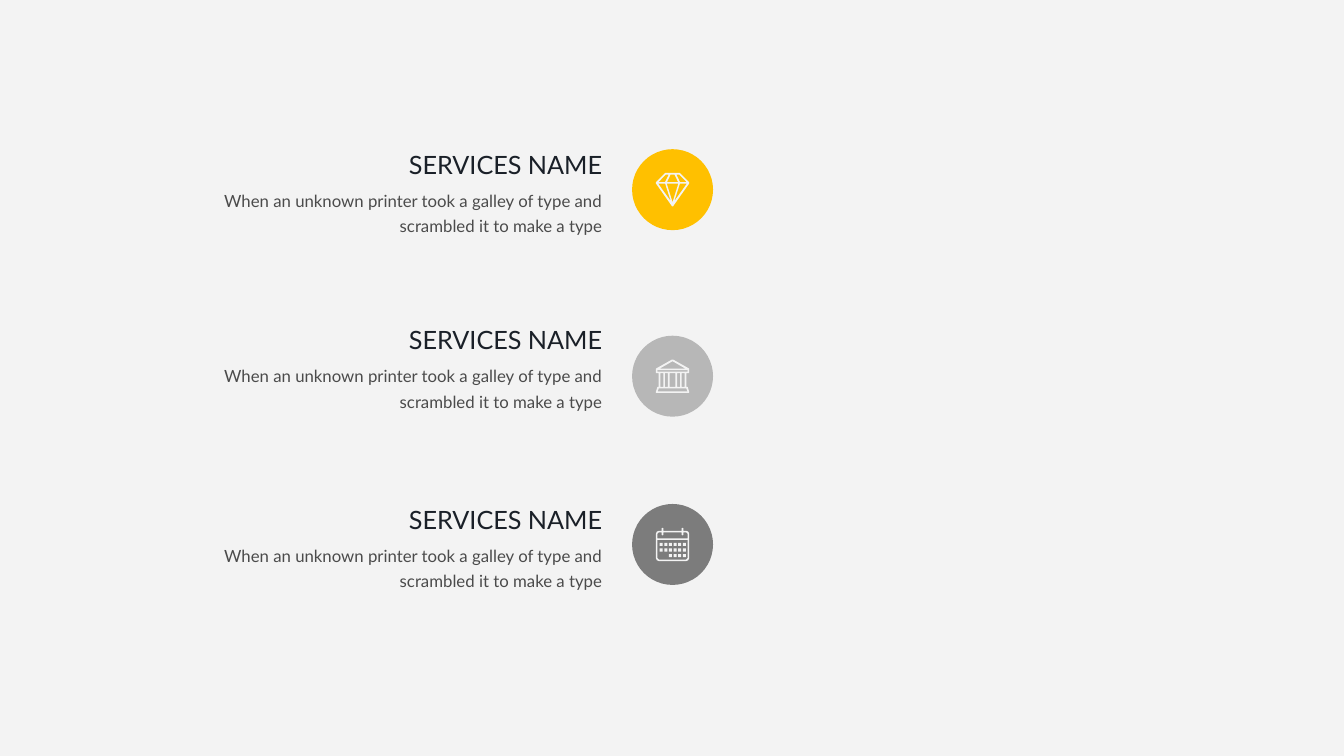
from pptx import Presentation
from pptx.dml.color import RGBColor
from pptx.enum.shapes import MSO_SHAPE
from pptx.enum.text import MSO_AUTO_SIZE, PP_ALIGN
from pptx.util import Cm, Pt

# Content: tops are in centimetres
BLURB = "When an unknown printer took a galley of type and scrambled it to make a type"
SERVICES = [
    {"name": "SERVICES NAME", "blurb": BLURB, "icon": "diamond",
     "badge": "FFC000", "text_top": 3.76, "badge_top": 3.76},
    {"name": "SERVICES NAME", "blurb": BLURB, "icon": "bank",
     "badge": "B7B7B7", "text_top": 8.18, "badge_top": 8.46},
    {"name": "SERVICES NAME", "blurb": BLURB, "icon": "calendar",
     "badge": "7C7C7C", "text_top": 12.7, "badge_top": 12.7},
]

THEME = {
    "font": "Lato", "paper": "F3F3F3",
    "name": {"size": 18, "color": "1A2028", "spacing": 1.0},
    "blurb": {"size": 12, "color": "4B4B4B", "spacing": 1.25},
}

# Layout in centimetres
TEXT_RIGHT = 15.18
NAME_WIDTH, NAME_HEIGHT = 4.98, 0.76
BLURB_WIDTH, BLURB_HEIGHT, BLURB_DROP = 10.66, 1.4, 0.92
BADGE_LEFT, BADGE_SIZE = 15.93, 2.04
ICON_SIZE = 0.84
ICON_UNITS = 330  # each icon is outlined on a 330 by 330 grid


# Icon outlines: the first contour is the silhouette, later ones cut or refill it
def mirror(points):
    return [(ICON_UNITS - x, y) for x, y in points]


def symmetric(left_half):
    return left_half + mirror(left_half)[::-1]


def box(left, top, right, bottom):
    return [(left, top), (right, top), (right, bottom), (left, bottom)]


def diamond():
    lower_facet = [(23, 106), (92, 106), (148, 280)]
    upper_facet = [(98, 16), (127, 16), (91, 90), (26, 90)]
    return [
        symmetric([(160, 330), (0, 103), (0, 92), (92, 0)]),
        lower_facet, mirror(lower_facet),
        upper_facet, mirror(upper_facet),
        [(108, 106), (222, 106), (165, 290)],
        symmetric([(110, 90), (145, 16)]),
    ]


def bank():
    gaps = [box(left, 135, left + 30, 272) for left in (45, 90)]
    return [
        symmetric([(0, 330), (0, 320), (15, 272), (28, 272), (28, 135),
                   (0, 135), (0, 90), (160, 0)]),
        [(165, 17), (38, 90), (292, 90)],
        box(15, 106, 315, 120),
        *gaps, *map(mirror, gaps),
        box(137, 135, 193, 272),
        symmetric([(18, 316), (28, 287)]),
    ]


def calendar():
    days = [box(37 + 46 * col, 150 + 55 * row, 67 + 46 * col, 180 + 55 * row)
            for row in range(3) for col in range(2 if row == 2 else 0, 6)]
    return [
        symmetric([(30, 330), (9, 321), (0, 300), (0, 60), (9, 39), (30, 30),
                   (58, 30), (58, 5), (66, 0), (74, 5), (74, 30)]),
        symmetric([(15, 105), (15, 60), (30, 45), (58, 45), (58, 70),
                   (66, 76), (74, 70), (74, 45)]),
        symmetric([(30, 315), (15, 300), (15, 120)]),
        *days,
    ]


ICONS = {"diamond": diamond, "bank": bank, "calendar": calendar}


def paint(shape, color):
    shape.fill.solid()
    shape.fill.fore_color.rgb = RGBColor.from_string(color)
    shape.line.fill.background()
    shape.shadow.inherit = False


def add_text(slide, words, style, top, width, height, wrap):
    frame = slide.shapes.add_textbox(
        Cm(TEXT_RIGHT - width), Cm(top), Cm(width), Cm(height)).text_frame
    frame.margin_left = frame.margin_right = frame.margin_top = frame.margin_bottom = 0
    frame.word_wrap = wrap
    frame.auto_size = MSO_AUTO_SIZE.NONE if wrap else MSO_AUTO_SIZE.SHAPE_TO_FIT_TEXT
    frame.text = words
    line = frame.paragraphs[0]
    line.alignment = PP_ALIGN.RIGHT
    line.line_spacing = style["spacing"]
    font = line.runs[0].font
    font.name = THEME["font"]
    font.size = Pt(style["size"])
    font.color.rgb = RGBColor.from_string(style["color"])


def add_icon(slide, contours, left, top):
    silhouette, *details = contours
    outline = slide.shapes.build_freeform(
        *silhouette[0], scale=Cm(ICON_SIZE) / ICON_UNITS)
    outline.add_line_segments(silhouette[1:], close=True)
    for contour in details:
        outline.move_to(*contour[0])
        outline.add_line_segments(contour[1:], close=True)
    paint(outline.convert_to_shape(Cm(left), Cm(top)), THEME["paper"])


def main():
    deck = Presentation()
    deck.slide_width, deck.slide_height = Cm(33.87), Cm(19.05)
    slide = deck.slides.add_slide(deck.slide_layouts[6])
    slide.background.fill.solid()
    slide.background.fill.fore_color.rgb = RGBColor.from_string(THEME["paper"])

    inset = (BADGE_SIZE - ICON_SIZE) / 2
    for service in SERVICES:
        # Name and blurb, flush right
        top = service["text_top"]
        add_text(slide, service["name"], THEME["name"], top,
                 NAME_WIDTH, NAME_HEIGHT, wrap=False)
        add_text(slide, service["blurb"], THEME["blurb"], top + BLURB_DROP,
                 BLURB_WIDTH, BLURB_HEIGHT, wrap=True)

        # Round badge with its icon in the centre
        badge_top = service["badge_top"]
        badge = slide.shapes.add_shape(
            MSO_SHAPE.OVAL, Cm(BADGE_LEFT), Cm(badge_top), Cm(BADGE_SIZE), Cm(BADGE_SIZE))
        paint(badge, service["badge"])
        add_icon(slide, ICONS[service["icon"]](), BADGE_LEFT + inset, badge_top + inset)

    deck.save("out.pptx")


if __name__ == "__main__":
    main()
